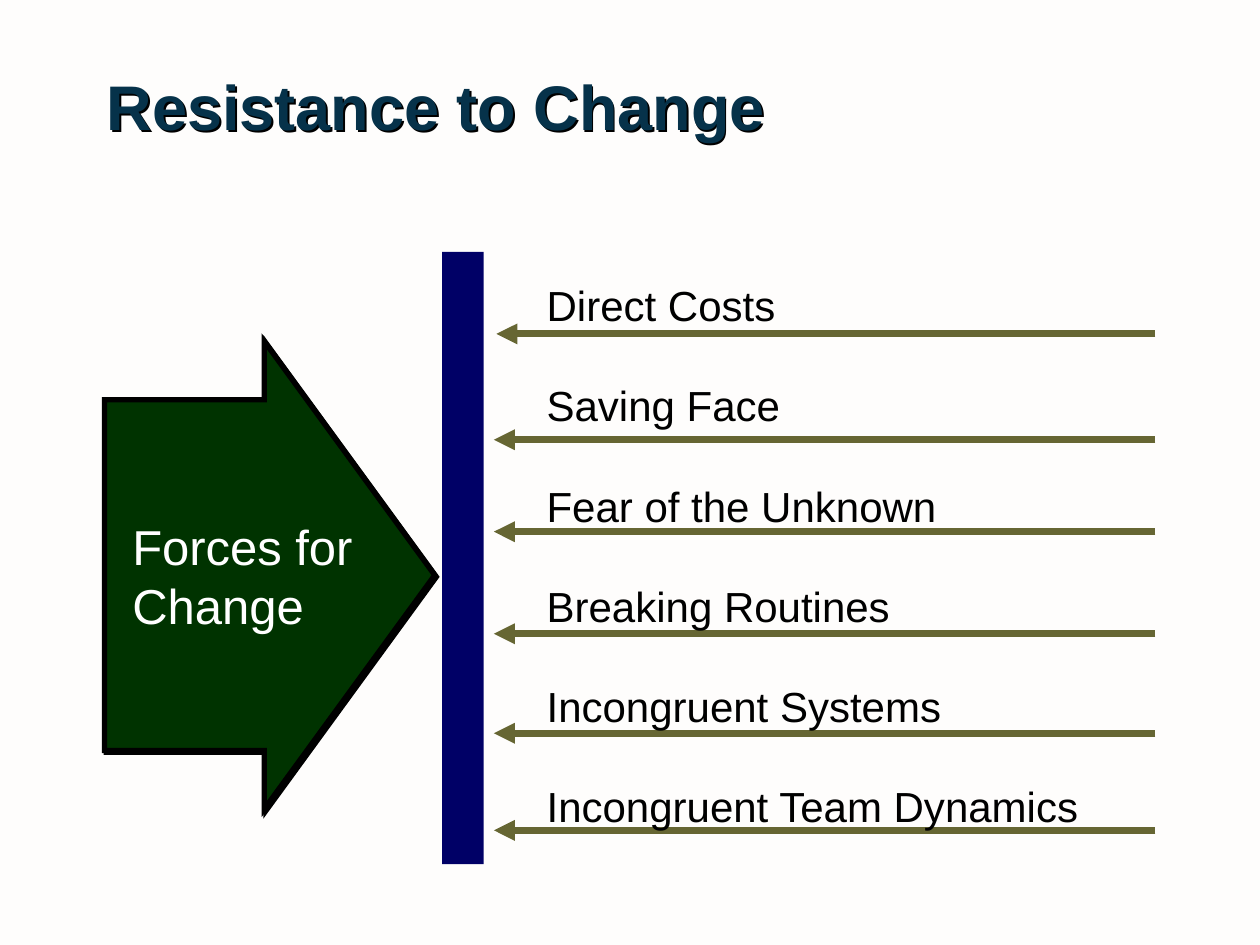
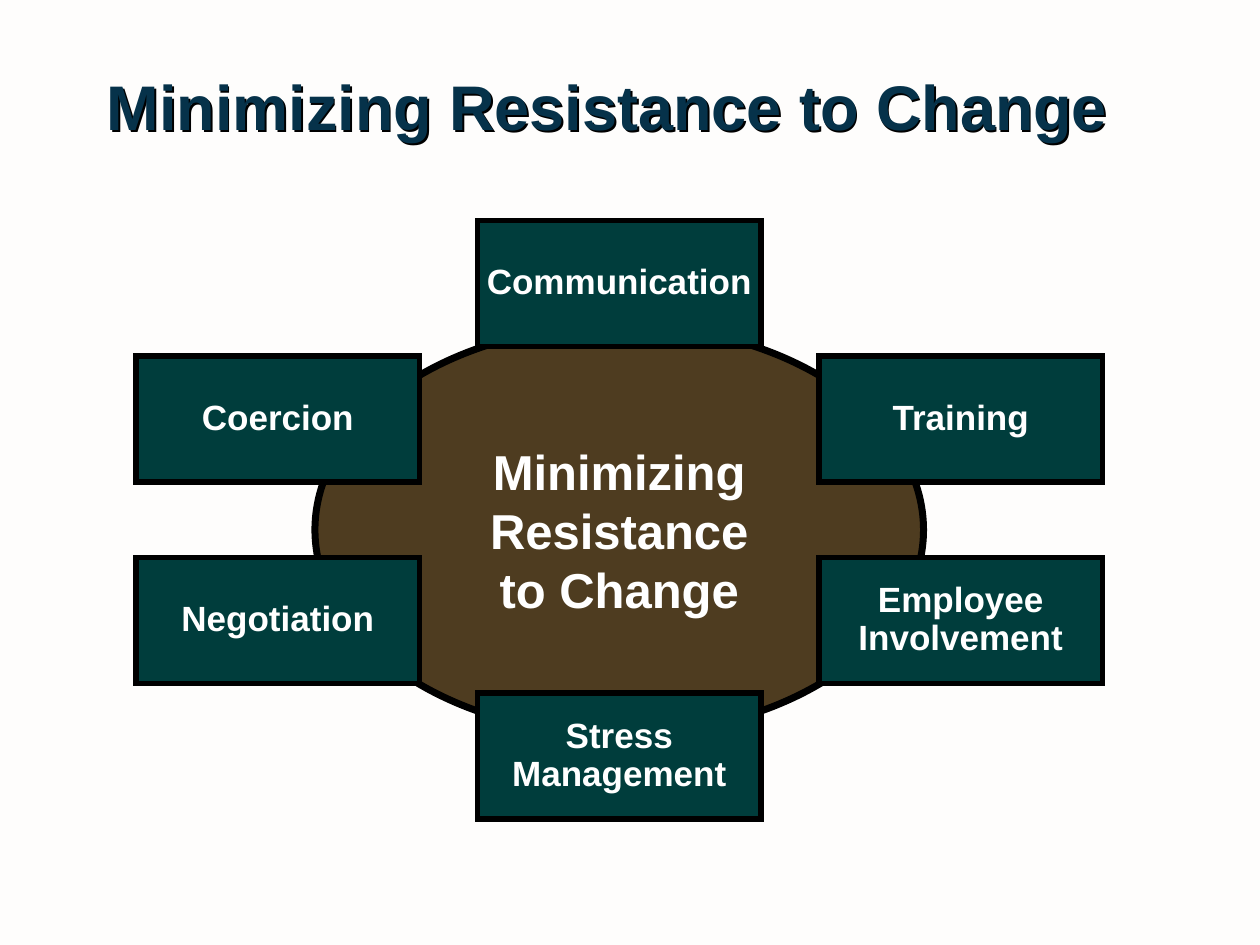
from lxml import etree
from pptx import Presentation
from pptx.dml.color import RGBColor
from pptx.enum.shapes import MSO_CONNECTOR, MSO_SHAPE
from pptx.enum.text import MSO_ANCHOR, PP_ALIGN
from pptx.oxml.ns import qn
from pptx.util import Inches, Pt

RECTANGLE, OVAL, RIGHT_ARROW = MSO_SHAPE.RECTANGLE, MSO_SHAPE.OVAL, MSO_SHAPE.RIGHT_ARROW
STRAIGHT = MSO_CONNECTOR.STRAIGHT
TOP, MIDDLE = MSO_ANCHOR.TOP, MSO_ANCHOR.MIDDLE
LEFT, CENTER = PP_ALIGN.LEFT, PP_ALIGN.CENTER

FONT = "Arial"
COLORS = {
    "background": "FEFDFC",
    "title": "06324A",
    "text": "000000",
    "light_text": "FFFFFF",
    "outline": "000000",
    "barrier": "000066",
    "resistance": "666633",
    "forces": "003300",
    "hub": "4E3C20",
    "method": "003D3C",
}


def color(name):
    return RGBColor.from_string(COLORS[name])


def add_drop_shadow(shape):
    """Cast a hard shadow to the lower right."""
    shape.shadow.inherit = False
    effects = shape.element.spPr.find(qn("a:effectLst"))
    shadow = etree.SubElement(effects, qn("a:outerShdw"), dist=str(Pt(1.4)),
                              dir="2700000", algn="ctr", rotWithShape="0")
    etree.SubElement(shadow, qn("a:srgbClr"), val=COLORS["outline"])


def write_text(shape, lines, size, color_name, bold=False, align=LEFT,
               anchor=MIDDLE, wrap=True, line_spacing=None, space_before=None):
    frame = shape.text_frame
    frame.text = "\n".join(lines)
    frame.word_wrap = wrap
    frame.vertical_anchor = anchor
    for paragraph in frame.paragraphs:
        paragraph.alignment = align
        paragraph.line_spacing = line_spacing
        paragraph.space_before = space_before
        font = paragraph.font
        font.name, font.size, font.bold = FONT, Pt(size), bold
        font.color.rgb = color(color_name)
    return frame


def add_box(slide, kind, box, fill, outline_width=0):
    shape = slide.shapes.add_shape(kind, *map(Inches, box))
    shape.shadow.inherit = False
    shape.fill.solid()
    shape.fill.fore_color.rgb = color(fill)
    if outline_width:
        shape.line.color.rgb = color("outline")
        shape.line.width = Pt(outline_width)
        # Sharp corners
        etree.SubElement(shape.element.spPr.find(qn("a:ln")), qn("a:miter"), lim="800000")
    else:
        shape.line.fill.background()
    return shape


def add_titled_slide(presentation, title):
    slide = presentation.slides.add_slide(presentation.slide_layouts[6])
    slide.background.fill.solid()
    slide.background.fill.fore_color.rgb = color("background")
    title_box = slide.shapes.add_textbox(*map(Inches, (0.75, 0.42, 8.42, 0.83)))
    write_text(title_box, [title], 36, "title", bold=True)
    add_drop_shadow(title_box)
    return slide


def add_forces_arrow(slide, box):
    arrow = add_box(slide, RIGHT_ARROW, box, "forces", 3)
    arrow.adjustments[0], arrow.adjustments[1] = 0.75, 0.516
    add_drop_shadow(arrow)
    frame = write_text(arrow, ["Forces for", "Change"], 28, "light_text", wrap=False)
    frame.margin_left = Inches(0.22)


def add_resistance_arrow(slide, start_x, end_x, y):
    arrow = slide.shapes.add_connector(STRAIGHT, *map(Inches, (start_x, y, end_x, y)))
    arrow.line.color.rgb = color("resistance")
    arrow.line.width = Pt(4)
    properties = arrow.element.spPr
    etree.SubElement(properties.find(qn("a:ln")), qn("a:tailEnd"), type="triangle")
    etree.SubElement(properties, qn("a:effectLst"))


def add_resistance_list(slide, box):
    left, top, width, height = box
    # Arrows: tip and height, measured from the box corner
    arrows = [(-0.3, 0.48), (-0.32, 1.32), (-0.32, 2.05),
              (-0.32, 2.86), (-0.32, 3.65), (-0.32, 4.42)]
    for tip, drop in arrows:
        add_resistance_arrow(slide, left + width + 0.17, left + tip, top + drop)

    # Sources of resistance
    sources = ["Direct Costs", "Saving Face", "Fear of the Unknown",
               "Breaking Routines", "Incongruent Systems", "Incongruent Team Dynamics"]
    text_box = slide.shapes.add_textbox(*map(Inches, box))
    write_text(text_box, sources, 24, "text", anchor=TOP, space_before=Pt(28.5))


def add_method_wheel(slide, box):
    left, top, width, height = box
    center_x, center_y = left + width / 2, top + height / 2

    # Hub
    hub = add_box(slide, OVAL, (left + 1.42, top + 0.83, 4.83, 3.25), "hub", 4)
    write_text(hub, ["Minimizing", "Resistance", "to Change"], 28, "light_text",
               bold=True, align=CENTER, wrap=False)

    # Methods, clockwise from the top
    method_width, method_height = 2.25, 1
    reach_x = (width - method_width) / 2
    reach_y = (height - method_height) / 2
    side_y = 0.8
    methods = [
        (["Communication"], 0, -reach_y),
        (["Training"], reach_x, -side_y),
        (["Employee", "Involvement"], reach_x, side_y),
        (["Stress", "Management"], 0, reach_y),
        (["Negotiation"], -reach_x, side_y),
        (["Coercion"], -reach_x, -side_y),
    ]
    for lines, offset_x, offset_y in methods:
        method_box = (center_x + offset_x - method_width / 2,
                      center_y + offset_y - method_height / 2,
                      method_width, method_height)
        method = add_box(slide, RECTANGLE, method_box, "method", 3)
        write_text(method, lines, 20, "light_text", bold=True, align=CENTER,
                   wrap=False, line_spacing=0.9)


def build_resistance_slide(presentation):
    slide = add_titled_slide(presentation, "Resistance to Change")
    add_box(slide, RECTANGLE, (3.51, 2, 0.33, 4.86), "barrier")
    add_forces_arrow(slide, (0.83, 2.71, 2.62, 3.71))
    add_resistance_list(slide, (4.24, 2.17, 4.76, 4.83))


def build_minimizing_slide(presentation):
    slide = add_titled_slide(presentation, "Minimizing Resistance to Change")
    add_method_wheel(slide, (1.08, 1.75, 7.67, 4.75))


def main():
    presentation = Presentation()
    presentation.slide_width, presentation.slide_height = Inches(10), Inches(7.5)
    build_resistance_slide(presentation)
    build_minimizing_slide(presentation)
    presentation.save("out.pptx")


if __name__ == "__main__":
    main()
